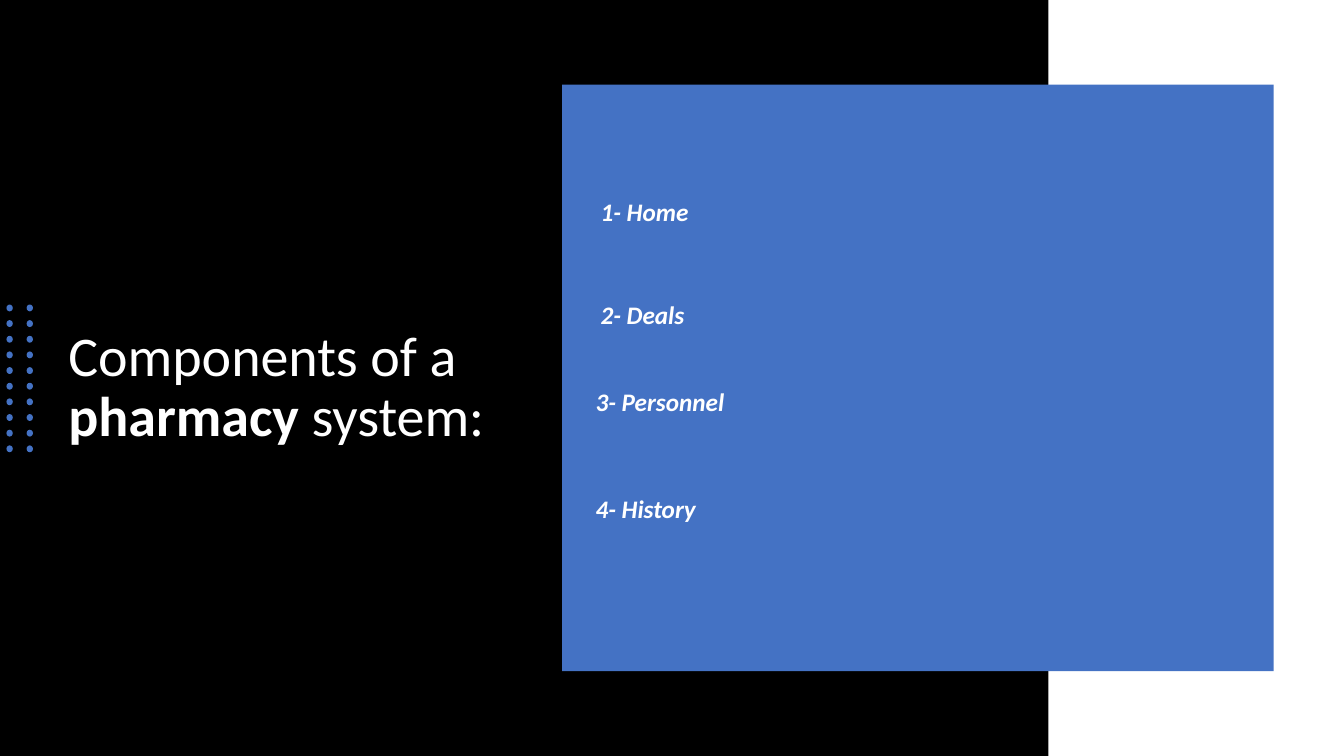
from pptx import Presentation
from pptx.dml.color import RGBColor
from pptx.enum import shapes, text
from pptx.util import Pt

# Content
TITLE = [("Components of a ", False), ("pharmacy", True), (" system:", False)]
# label, left, top, width, height, anchor, line spacing
COMPONENTS = [
    ("1- Home", 421.9, 134.6, 198.7, 36, "middle", 0.9),
    ("2- Deals", 421.9, 210.2, 216, 28.8, "top", 1),
    ("3- Personnel", 418.3, 272.2, 216, 51.1, "top", 1),
    ("4- History", 418.3, 348.5, 216, 28.8, "top", 1),
]

THEME = {
    "font": "Calibri",
    "title_size": 40,
    "item_size": 18,
    "black": RGBColor(0, 0, 0),
    "white": RGBColor(255, 255, 255),
    "blue": RGBColor(0x44, 0x72, 0xC4),
}
ANCHORS = {"top": text.MSO_ANCHOR.TOP, "middle": text.MSO_ANCHOR.MIDDLE}

# Layout, in points
PAGE_WIDTH, PAGE_HEIGHT = 960, 540
SIDE_LEFT = 748.8
PANEL = (401.5, 60.5, 508.3, 419)
TITLE_BOX = (41.8, 191.5, 321.1, 171.4)
DOT_COLUMNS, DOT_ROWS = 2, 10
DOT_LEFT, DOT_TOP = 4.4, 217.7
DOT_PITCH_X, DOT_PITCH_Y = 14.4, 11.18
DOT_WIDTH, DOT_HEIGHT = 4.9, 4.5


def add_filled(page, kind, bounds, color):
    shape = page.shapes.add_shape(kind, *map(Pt, bounds))
    shape.shadow.inherit = False
    shape.fill.solid()
    shape.fill.fore_color.rgb = color
    shape.line.fill.background()
    return shape


def add_text(page, spans, bounds, *, size, italic=False, anchor="top", spacing=1):
    box = page.shapes.add_textbox(*map(Pt, bounds))
    frame = box.text_frame
    frame.word_wrap = True
    frame.vertical_anchor = ANCHORS[anchor]
    para = frame.paragraphs[0]
    para.line_spacing = spacing
    for words, bold in spans:
        span = para.add_run()
        span.text = words
        span.font.name = THEME["font"]
        span.font.size = Pt(size)
        span.font.bold = bold
        span.font.italic = italic
        span.font.color.rgb = THEME["white"]
    return box


def main():
    deck = Presentation()
    deck.slide_width, deck.slide_height = Pt(PAGE_WIDTH), Pt(PAGE_HEIGHT)
    page = deck.slides.add_slide(deck.slide_layouts[6])
    page.background.fill.solid()
    page.background.fill.fore_color.rgb = THEME["black"]

    # Title
    add_text(page, TITLE, TITLE_BOX, size=THEME["title_size"],
             anchor="middle", spacing=0.9)

    # Dot grid
    for row in range(DOT_ROWS):
        for column in range(DOT_COLUMNS):
            bounds = (DOT_LEFT + column * DOT_PITCH_X,
                      DOT_TOP + row * DOT_PITCH_Y, DOT_WIDTH, DOT_HEIGHT)
            dot = add_filled(page, shapes.MSO_SHAPE.OVAL, bounds, THEME["blue"])
            dot.rotation = 90

    # White side band and blue panel
    side = (SIDE_LEFT, 0, PAGE_WIDTH - SIDE_LEFT, PAGE_HEIGHT)
    add_filled(page, shapes.MSO_SHAPE.RECTANGLE, side, THEME["white"])
    add_filled(page, shapes.MSO_SHAPE.RECTANGLE, PANEL, THEME["blue"])

    # Component list
    for label, *bounds, anchor, spacing in COMPONENTS:
        add_text(page, [(label, True)], bounds, size=THEME["item_size"],
                 italic=True, anchor=anchor, spacing=spacing)

    deck.save("out.pptx")


if __name__ == "__main__":
    main()
